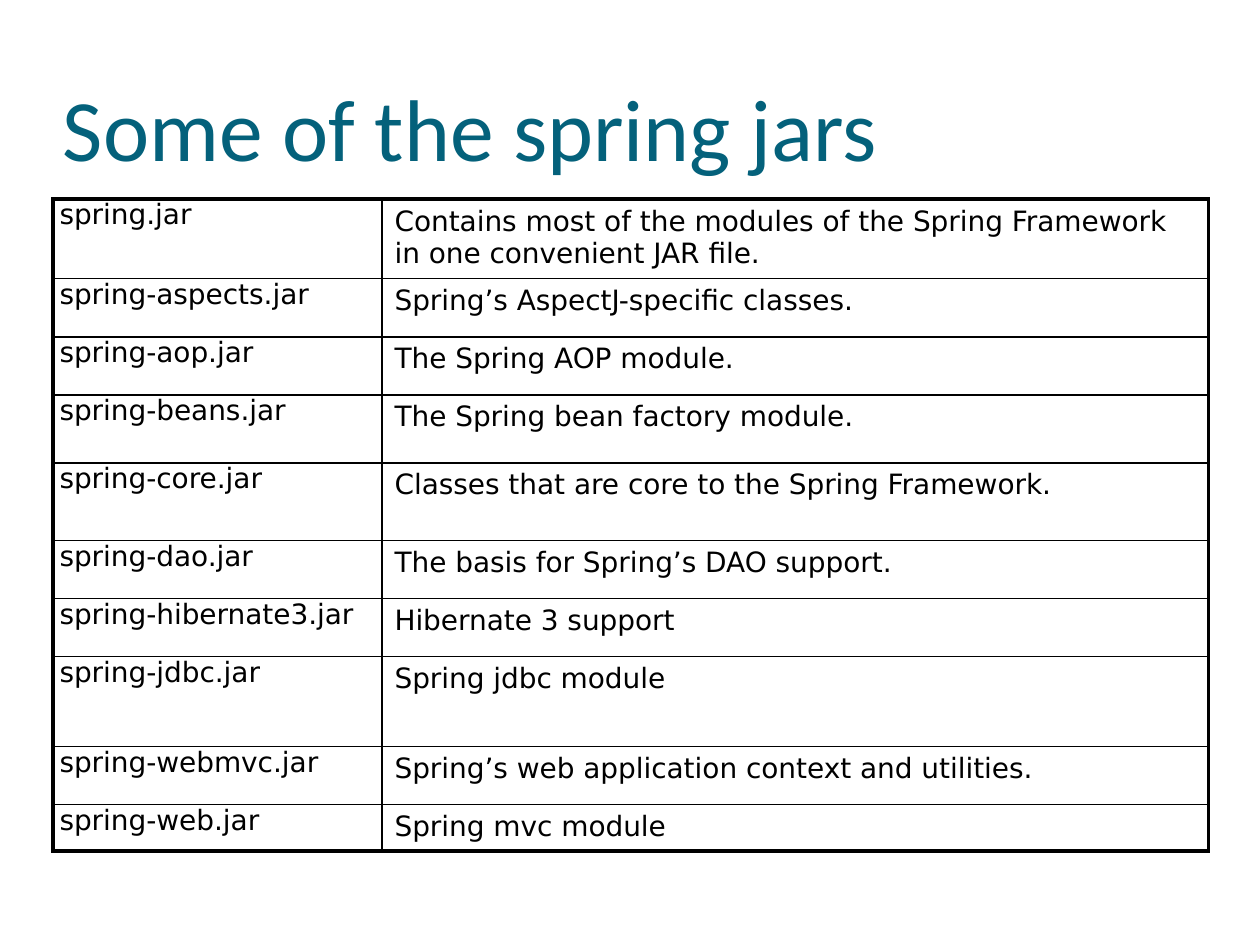
from lxml.etree import SubElement as Sub
from pptx import Presentation
from pptx.dml.color import RGBColor as Rgb
from pptx.enum.text import MSO_ANCHOR as Anchor
from pptx.oxml.ns import qn
from pptx.util import Cm, Pt

INK = "000000"
TEAL = "04617B"
THIN, THICK = 1, 2.25
WIDTHS = (6.63, 16.66)
JARS = [  # name, use, row height in cm
    ("spring.jar", "Contains most of the modules of the Spring Framework "
     "in one convenient JAR file.", 1.55),
    ("spring-aspects.jar", "Spring’s AspectJ-specific classes.", 1.17),
    ("spring-aop.jar", "The Spring AOP module.", 1.17),
    ("spring-beans.jar", "The Spring bean factory module.", 1.37),
    ("spring-core.jar", "Classes that are core to the Spring Framework.", 1.57),
    ("spring-dao.jar", "The basis for Spring’s DAO support.", 1.17),
    ("spring-hibernate3.jar", "Hibernate 3 support", 1.17),
    ("spring-jdbc.jar", "Spring jdbc module", 1.81),
    ("spring-webmvc.jar", "Spring’s web application context and utilities.", 1.17),
    ("spring-web.jar", "Spring mvc module", 0.91),
]


def color(code):
    return Rgb.from_string(code)


def write(para, text, font, size, code):
    run = para.add_run()
    run.text = text
    run.font.name = font
    run.font.size = Pt(size)
    run.font.color.rgb = color(code)


def title(slide, text):
    box = slide.shapes.add_textbox(Cm(1.27), Cm(1.27), Cm(22.23), Cm(2.34))
    frame = box.text_frame
    frame.word_wrap = True
    frame.vertical_anchor = Anchor.BOTTOM
    frame.margin_left = frame.margin_right = frame.margin_bottom = 0
    frame.margin_top = Cm(0.13)
    write(frame.paragraphs[0], text, "Calibri", 50, TEAL)


def border(cell, sides):
    """Draw the cell's edges; sides maps L, R, T, B to widths in points."""
    props = cell._tc.get_or_add_tcPr()
    for at, (side, width) in enumerate(sides.items()):
        line = props.makeelement(qn(f"a:ln{side}"), {"w": str(Pt(width))})
        fill = Sub(line, qn("a:solidFill"))
        Sub(fill, qn("a:srgbClr"), val=INK)
        props.insert(at, line)


def jar_table(slide):
    high = sum(jar[2] for jar in JARS)
    frame = slide.shapes.add_table(len(JARS), len(WIDTHS), Cm(1.07), Cm(4.01),
                                   Cm(sum(WIDTHS)), Cm(high))
    table = frame.table
    table.first_row = table.horz_banding = False
    for col, width in zip(table.columns, WIDTHS):
        col.width = Cm(width)
    last = len(JARS) - 1
    for row, (name, use, tall) in enumerate(JARS):
        table.rows[row].height = Cm(tall)
        for col, text in enumerate((name, use)):
            cell = table.cell(row, col)
            cell.fill.background()
            if col == 0:
                cell.margin_left = cell.margin_right = Cm(0.13)
                cell.margin_top = cell.margin_bottom = 0
            write(cell.text_frame.paragraphs[0], text, "DejaVu Sans", 16, INK)
            border(cell, {"L": THICK if col == 0 else THIN,
                          "R": THICK if col == 1 else THIN,
                          "T": THICK if row == 0 else THIN,
                          "B": THICK if row == last else THIN})


def main():
    deck = Presentation()
    deck.slide_width, deck.slide_height = Cm(25.4), Cm(19.05)
    slide = deck.slides.add_slide(deck.slide_layouts[6])
    title(slide, "Some of the spring jars")
    jar_table(slide)
    deck.save("out.pptx")


if __name__ == "__main__":
    main()
